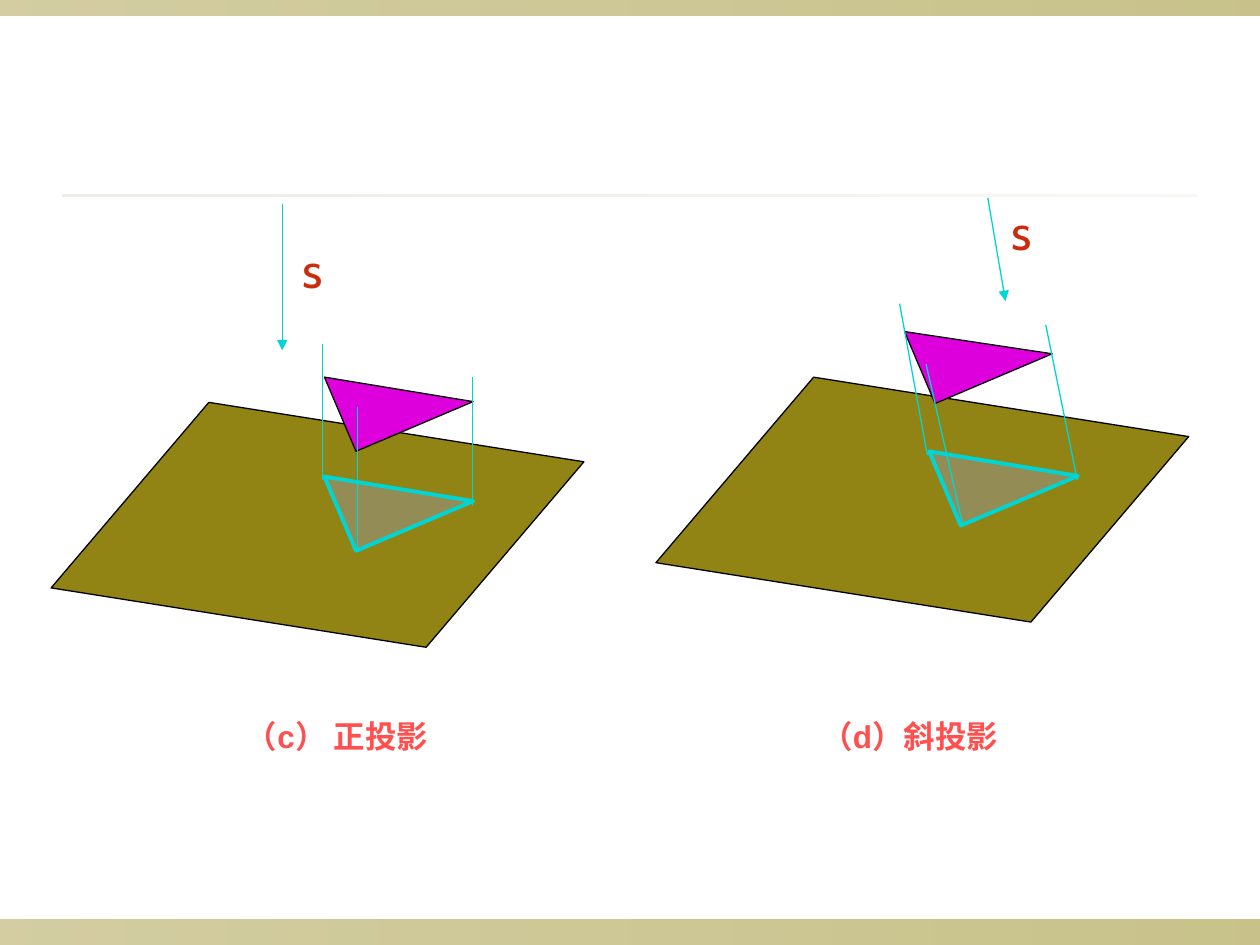
from lxml.etree import SubElement
from pptx import Presentation
from pptx.dml.color import RGBColor
from pptx.enum.shapes import MSO_CONNECTOR, MSO_SHAPE
from pptx.enum.text import PP_ALIGN
from pptx.oxml.ns import qn
from pptx.util import Inches, Pt

THEME = dict(
    olive="918415", sand="DCD9CC", pink="DD00DD", gray="969696",
    cyan="00D5D5", black="000000", red="CA2D0E", coral="FF5050",
    mark=28, label=18, thin=0.75, thick=2.25,
)

BANDS = [
    ((0, 7.3, 10, 0.2), "olive", (40, 50)),
    ((0, 0, 10, 0.12), "olive", (40, 50)),
    ((0.5, 1.54, 9, 0.02), "sand", (50, 20)),
]
PLANE = (0.51, 3.34, 4.02, 1.65)
SHADE = (2.66, 3.56, 1.01, 0.64)
PANELS = [
    dict(
        shift=(0, 0), solid=(2.66, 2.77, 1.01, 0.64),
        rays=[(2.56, 2.73, 2.56, 3.81), (3.75, 2.99, 3.75, 4.02),
              (2.84, 3.23, 2.84, 4.36)],
        arrow=(2.24, 1.62, 2.24, 2.78), mark=(2.3, 1.85, 0.33, 0.57),
        label="（c） 正投影", box=(1.22, 5.64, 2.91, 0.4), align=PP_ALIGN.CENTER,
    ),
    dict(
        shift=(4.8, -0.2), solid=(7.26, 2.41, 1.01, 0.62),
        rays=[(7.14, 2.41, 7.36, 3.61), (8.3, 2.58, 8.55, 3.81),
              (7.35, 2.89, 7.64, 4.16)],
        arrow=(7.84, 1.57, 7.98, 2.39), mark=(7.93, 1.55, 0.33, 0.57),
        label="（d）斜投影", box=(6.42, 5.64, 2.44, 0.4), align=PP_ALIGN.LEFT,
    ),
]


def tint(name):
    return RGBColor.from_string(THEME[name])


def fade(fill, levels):
    for node, level in zip(fill.iter(qn("a:srgbClr")), levels):
        SubElement(node, qn("a:alpha"), val=str(level * 1000))


def move(box, shift):
    return (box[0] + shift[0], box[1] + shift[1], *box[2:])


def form(slide, kind, box):
    shape = slide.shapes.add_shape(kind, *map(Inches, box))
    shape.shadow.inherit = False
    return shape


def band(slide, box, color, levels):
    shape = form(slide, MSO_SHAPE.RECTANGLE, box)
    shape.line.fill.background()
    shape.fill.gradient()
    shape.fill.gradient_angle = 0
    for stop in shape.fill.gradient_stops:
        stop.color.rgb = tint(color)
    fade(shape._element.spPr.find(qn("a:gradFill")), levels)


def piece(slide, kind, box, turn, color, edge, width):
    shape = form(slide, kind, box)
    shape.rotation = turn
    shape.fill.solid()
    shape.fill.fore_color.rgb = tint(color)
    shape.line.color.rgb = tint(edge)
    shape.line.width = Pt(THEME[width])
    return shape


def ray(slide, ends, head=False):
    line = slide.shapes.add_connector(MSO_CONNECTOR.STRAIGHT, *map(Inches, ends))
    line.line.color.rgb = tint("cyan")
    line.line.width = Pt(THEME["thin"])
    if head:
        SubElement(line.line._get_or_add_ln(), qn("a:tailEnd"), type="triangle")
    SubElement(line._element.spPr, qn("a:effectLst"))


def write(slide, box, text, font, size, color, bold=False, align=PP_ALIGN.LEFT):
    frame = slide.shapes.add_textbox(*map(Inches, box)).text_frame
    frame.word_wrap = True
    para = frame.paragraphs[0]
    para.text = text
    para.alignment = align
    para.font.name = font
    para.font.size = Pt(THEME[size])
    para.font.color.rgb = tint(color)
    para.font.bold = bold


def panel(slide, data):
    plane = piece(slide, MSO_SHAPE.PARALLELOGRAM, move(PLANE, data["shift"]),
                  9, "olive", "black", "thin")
    plane.adjustments[0] = 0.61
    piece(slide, MSO_SHAPE.RIGHT_TRIANGLE, data["solid"],
          337, "pink", "black", "thin")
    shade = piece(slide, MSO_SHAPE.RIGHT_TRIANGLE, move(SHADE, data["shift"]),
                  337, "gray", "cyan", "thick")
    fade(shade._element.spPr.find(qn("a:solidFill")), [50])
    for ends in data["rays"]:
        ray(slide, ends)
    ray(slide, data["arrow"], head=True)
    write(slide, data["mark"], "s", "Cabin", "mark", "red")
    write(slide, data["box"], data["label"], "Arial", "label", "coral",
          True, data["align"])


def main():
    deck = Presentation()
    deck.slide_width, deck.slide_height = Inches(10), Inches(7.5)
    slide = deck.slides.add_slide(deck.slide_layouts[6])
    for item in BANDS:
        band(slide, *item)
    for data in PANELS:
        panel(slide, data)
    deck.save("out.pptx")


if __name__ == "__main__":
    main()
